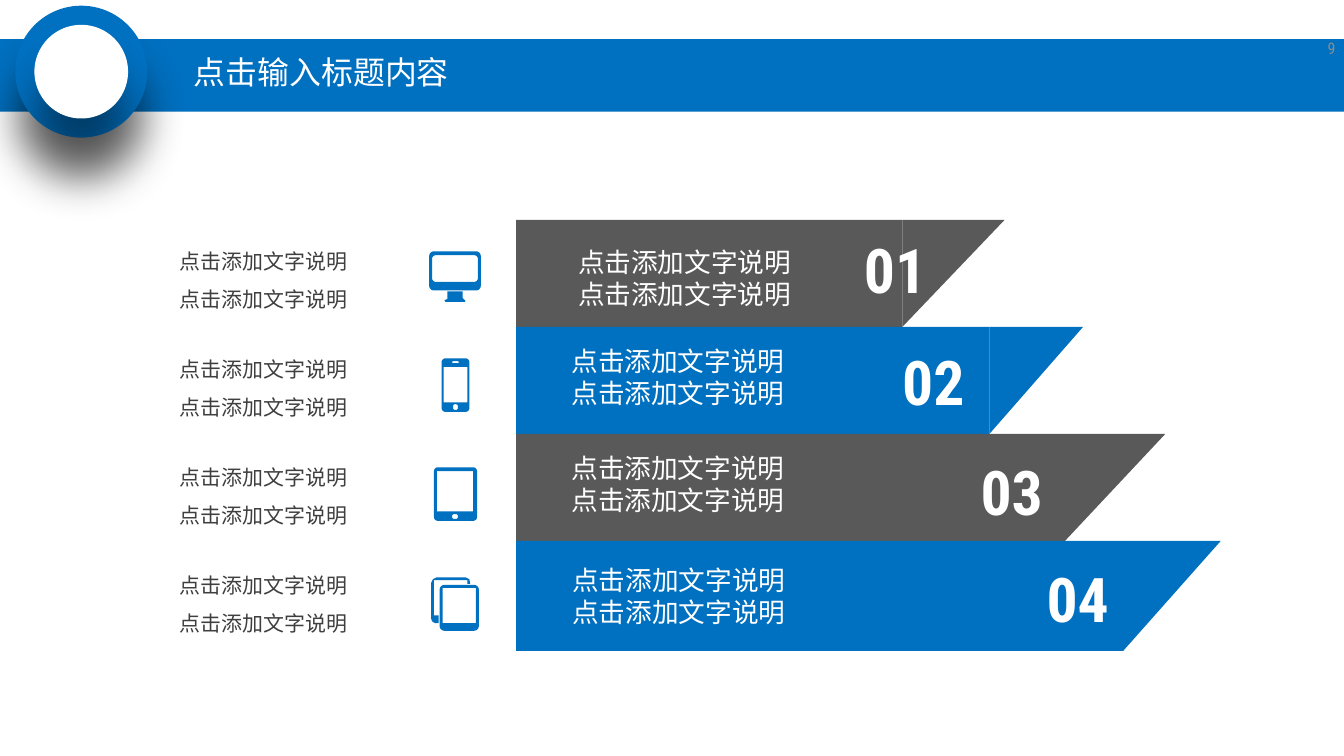
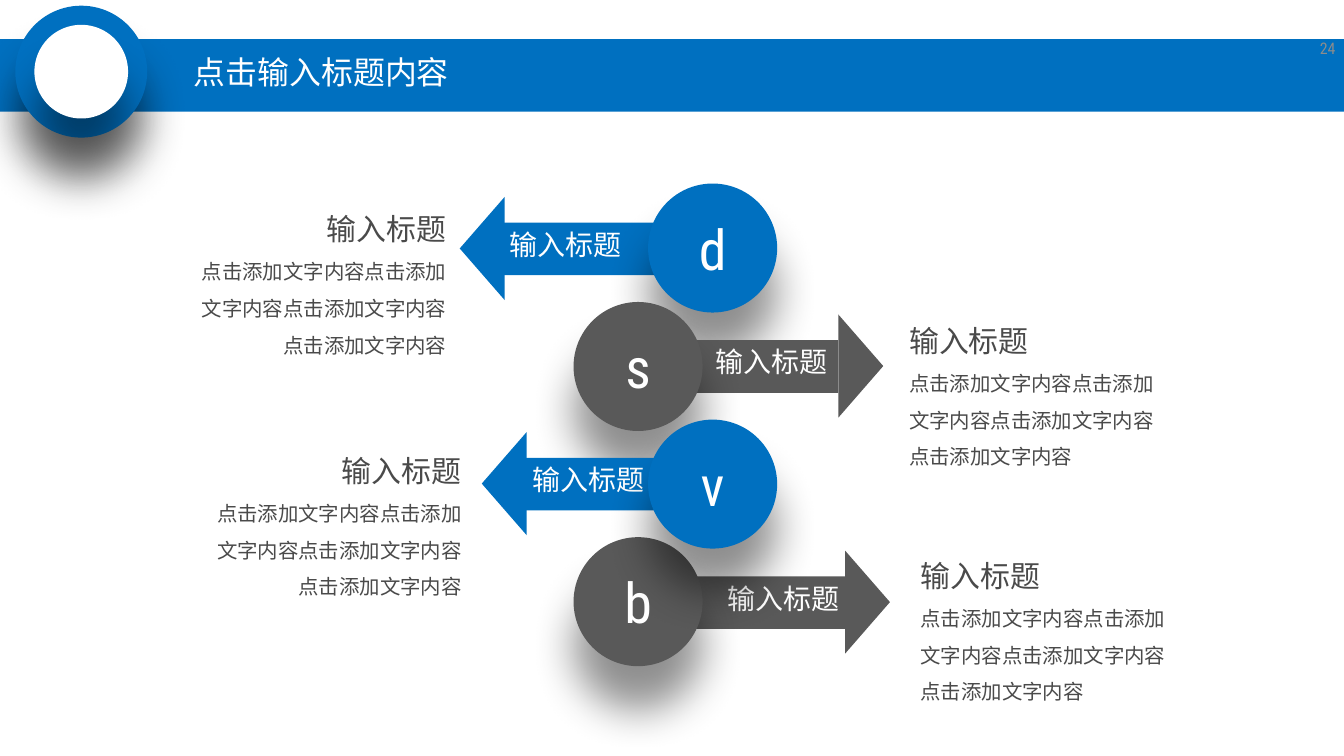
import math

import pptx
import pptx.dml.color
import pptx.enum.shapes
import pptx.enum.text
import pptx.oxml
import pptx.oxml.ns
import pptx.util

Inches = pptx.util.Inches
SHAPE = pptx.enum.shapes.MSO_SHAPE
ANCHOR = pptx.enum.text.MSO_ANCHOR
ALIGN = pptx.enum.text.PP_ALIGN

COLORS = {"blue": "0070C0", "gray": "595959", "white": "FFFFFF",
          "caption": "3F3F3F", "body": "4A4A4A", "number": "8C8C8C"}
FONT = "Roboto Condensed"
SHADOW = ('<a:outerShdw %s blurRad="419100" dist="419100" dir="5400000" '
          'algn="t" rotWithShape="0"><a:srgbClr val="000000">'
          '<a:alpha val="43000"/></a:srgbClr></a:outerShdw>'
          % pptx.oxml.ns.nsdecls("a"))


def rounded(left, top, right, bottom, radius=0):
    """Outline of a rectangle whose corners are arcs."""
    if not radius:
        return [(left, top), (right, top), (right, bottom), (left, bottom)]
    corners = [(right - radius, top + radius, -90), (right - radius, bottom - radius, 0),
               (left + radius, bottom - radius, 90), (left + radius, top + radius, 180)]
    return [(x + radius * math.cos(math.radians(start + step)),
             y + radius * math.sin(math.radians(start + step)))
            for x, y, start in corners for step in range(0, 91, 15)]


class Deck:
    """Shared style, and the slide being built."""

    def __init__(self):
        self.prs = pptx.Presentation()
        self.prs.slide_width = Inches(14.06)
        self.prs.slide_height = Inches(7.91)
        self.s = None

    def color(self, name):
        return pptx.dml.color.RGBColor.from_string(COLORS[name])

    def slide(self, title, number):
        self.s = self.prs.slides.add_slide(self.prs.slide_layouts[6])
        # Header band with its ring
        self.shape(SHAPE.RECTANGLE, (0, 0.41, 14.06, 0.76), "blue")
        self.shape(SHAPE.OVAL, (0.16, 0.06, 1.38, 1.38), "blue", shadow=True)
        self.shape(SHAPE.OVAL, (0.36, 0.26, 0.98, 0.98), "white", shadow=True)
        # Title and slide number
        self.text((1.93, 0.5, 3.47, 0.55), [(title, 24)], "white",
                  anchor=ANCHOR.MIDDLE, spacing=0.9)
        self.text((13.38, 0.29, 0.69, 0.42), [(number, 12)], "number",
                  align=ALIGN.RIGHT, anchor=ANCHOR.MIDDLE)

    def paint(self, sp, fill, shadow=False):
        sp.fill.solid()
        sp.fill.fore_color.rgb = self.color(fill)
        sp.line.fill.background()
        sp.shadow.inherit = False
        if shadow:
            effects = sp._element.spPr.find(pptx.oxml.ns.qn("a:effectLst"))
            effects.append(pptx.oxml.parse_xml(SHADOW))
        return sp

    def shape(self, kind, box, fill, shadow=False, rotation=0):
        sp = self.s.shapes.add_shape(kind, *map(Inches, box))
        sp.rotation = rotation
        return self.paint(sp, fill, shadow)

    def outline(self, contours, fill):
        """One freeform; inner contours cut holes."""
        contours = [[(Inches(x), Inches(y)) for x, y in points] for points in contours]
        builder = self.s.shapes.build_freeform(*contours[0][0], scale=1.0)
        for i, points in enumerate(contours):
            if i:
                builder.move_to(*points[0])
            builder.add_line_segments(points[1:], close=True)
        return self.paint(builder.convert_to_shape(), fill)

    def set_lines(self, sp, lines, color, align=ALIGN.LEFT, anchor=ANCHOR.TOP,
                  spacing=None, bold=False, inset=(0.1, 0.05, 0.05)):
        """Fill sp with (text, size) lines; inset is side, top, bottom."""
        tf = sp.text_frame
        tf.word_wrap = True
        tf.vertical_anchor = anchor
        tf.margin_left = tf.margin_right = Inches(inset[0])
        tf.margin_top, tf.margin_bottom = Inches(inset[1]), Inches(inset[2])
        for i, (text, size) in enumerate(lines):
            p = tf.add_paragraph() if i else tf.paragraphs[0]
            p.text = text
            p.alignment = align
            if spacing:
                p.line_spacing = spacing
            p.font.name = FONT
            p.font.size = pptx.util.Pt(size)
            p.font.bold = bold
            p.font.color.rgb = self.color(color)

    def text(self, box, lines, color, **style):
        self.set_lines(self.s.shapes.add_textbox(*map(Inches, box)), lines, color, **style)

    def banner(self, top, height, right, slant, fill):
        """Bar from the common left edge, ending in a slanted tip."""
        left = 5.4
        self.shape(SHAPE.RECTANGLE, (left, top, right - left, height), fill)
        # Turned by 90 degrees, so width and height swap about the centre
        shift = (height - slant) / 2
        self.shape(SHAPE.RIGHT_TRIANGLE, (right - shift, top + shift, height, slant),
                   fill, rotation=90)

    def arrow(self, label, left, top, width, tip, fill):
        """Labelled shaft with its head at the tip's side."""
        to_left = tip < left
        sp = self.shape(SHAPE.RECTANGLE, (left, top, width, 0.55), fill)
        self.set_lines(sp, [(label, 21.1)], "white", inset=(0.11, 0.05, 0.05),
                       align=ALIGN.LEFT if to_left else ALIGN.RIGHT)
        base = tip + (0.47 if to_left else -0.47)
        middle = top + 0.27
        self.outline([[(tip, middle), (base, middle + 0.54), (base, middle - 0.54)]], fill)

    def disc(self, letter, left, top, fill):
        sp = self.shape(SHAPE.OVAL, (left, top, 1.35, 1.35), fill, shadow=True)
        self.set_lines(sp, [(letter, 42.1)], "white", align=ALIGN.CENTER,
                       anchor=ANCHOR.MIDDLE, inset=(0.11, 0.05, 0.05))


def banner_slide(deck):
    deck.slide("点击输入标题内容", "9")
    note = "点击添加文字说明"

    # Banners: right edge, slant, height, number at, label at
    banners = [(9.44, 1.07, 1.12, (8.94, 2.38), (5.95, 2.52)),
               (10.35, 0.98, 1.12, (9.34, 3.55), (5.88, 3.56)),
               (11.14, 1.05, 1.12, (10.16, 4.7), (5.88, 4.68)),
               (11.75, 1.02, 1.15, (10.85, 5.82), (5.89, 5.85))]
    for i, (right, slant, height, number_at, label_at) in enumerate(banners):
        deck.banner(2.3 + 1.12 * i, height, right, slant, ("gray", "blue")[i % 2])
        deck.text((*number_at, 1.1, 0.88), [(f"{i + 1:02}", 46.4)], "white", bold=True)
        deck.text((*label_at, 3.1, 0.78), [(note, 20.1)] * 2, "white")
        deck.text((1.3, 2.42 + 1.13 * i, 2.91, 0.86), [(note, 15.8)] * 2, "caption",
                  align=ALIGN.CENTER, spacing=1.5, inset=(0.11, 0.05, 0.05))

    # Icons
    monitor = [rounded(4.49, 2.63, 5.03, 3.04, 0.05), rounded(4.52, 2.67, 5, 2.95, 0.04),
               [(4.68, 3.05), (4.84, 3.05), (4.84, 3.12), (4.87, 3.15), (4.86, 3.16),
                (4.66, 3.16), (4.65, 3.14), (4.68, 3.13)]]
    phone = [rounded(4.62, 3.75, 4.91, 4.31, 0.04), rounded(4.64, 3.84, 4.89, 4.21),
             rounded(4.73, 3.78, 4.8, 3.8, 0.01), rounded(4.74, 4.23, 4.79, 4.29, 0.02)]
    tablet = [rounded(4.54, 4.89, 4.99, 5.45, 0.04), rounded(4.57, 4.93, 4.95, 5.35),
              rounded(4.73, 5.38, 4.79, 5.43, 0.02)]
    stack = [rounded(4.6, 6.12, 5.01, 6.6, 0.05), rounded(4.63, 6.15, 4.98, 6.52),
             [(4.89, 6.07), (4.54, 6.07), (4.54, 6.44), (4.59, 6.44), (4.59, 6.52),
              (4.55, 6.52), (4.52, 6.5), (4.51, 6.47), (4.51, 6.1), (4.53, 6.06),
              (4.57, 6.04), (4.87, 6.04), (4.91, 6.06), (4.92, 6.11), (4.89, 6.11)]]
    for icon in (monitor, phone, tablet, stack):
        deck.outline(icon, "blue")


def arrow_slide(deck):
    deck.slide("点击输入标题内容", "24")
    heading = "输入标题"
    body = "点击添加文字内容" * 4

    # Arrows: letter, disc top, shaft (left, top, width), tip, text at
    arrows = [("d", 1.92, (5.22, 2.33, 1.89), 4.81, (1.93, 1.97)),
              ("s", 3.16, (7.11, 3.56, 1.66), 9.24, (9.37, 3.14)),
              ("b", 5.62, (7.02, 6.03, 1.87), 9.31, (9.49, 5.6)),
              ("v", 4.39, (5.46, 4.79, 1.66), 5.04, (2.09, 4.5))]
    for letter, disc_top, shaft, tip, text_at in arrows:
        to_left = tip < shaft[0]
        fill = "blue" if to_left else "gray"
        deck.arrow(heading, *shaft, tip, fill)
        deck.disc(letter, 6.78 if to_left else 6, disc_top, fill)
        deck.text((*text_at, 2.88, 1.86), [(heading, 22.5), (body, 15.4)], "body",
                  align=ALIGN.RIGHT if to_left else ALIGN.LEFT,
                  spacing=1.5, inset=(0.14, 0.05, 0.07))


def main():
    deck = Deck()
    banner_slide(deck)
    arrow_slide(deck)
    deck.prs.save("out.pptx")


if __name__ == "__main__":
    main()
